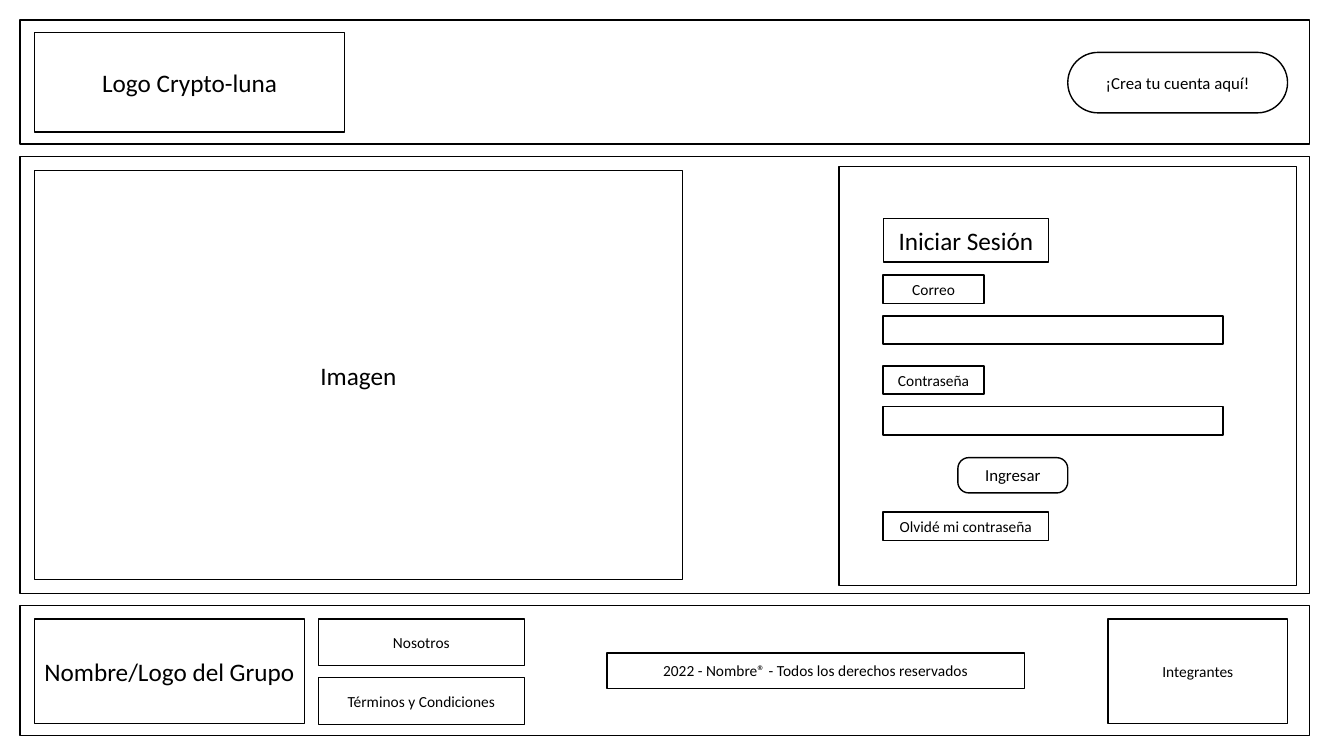
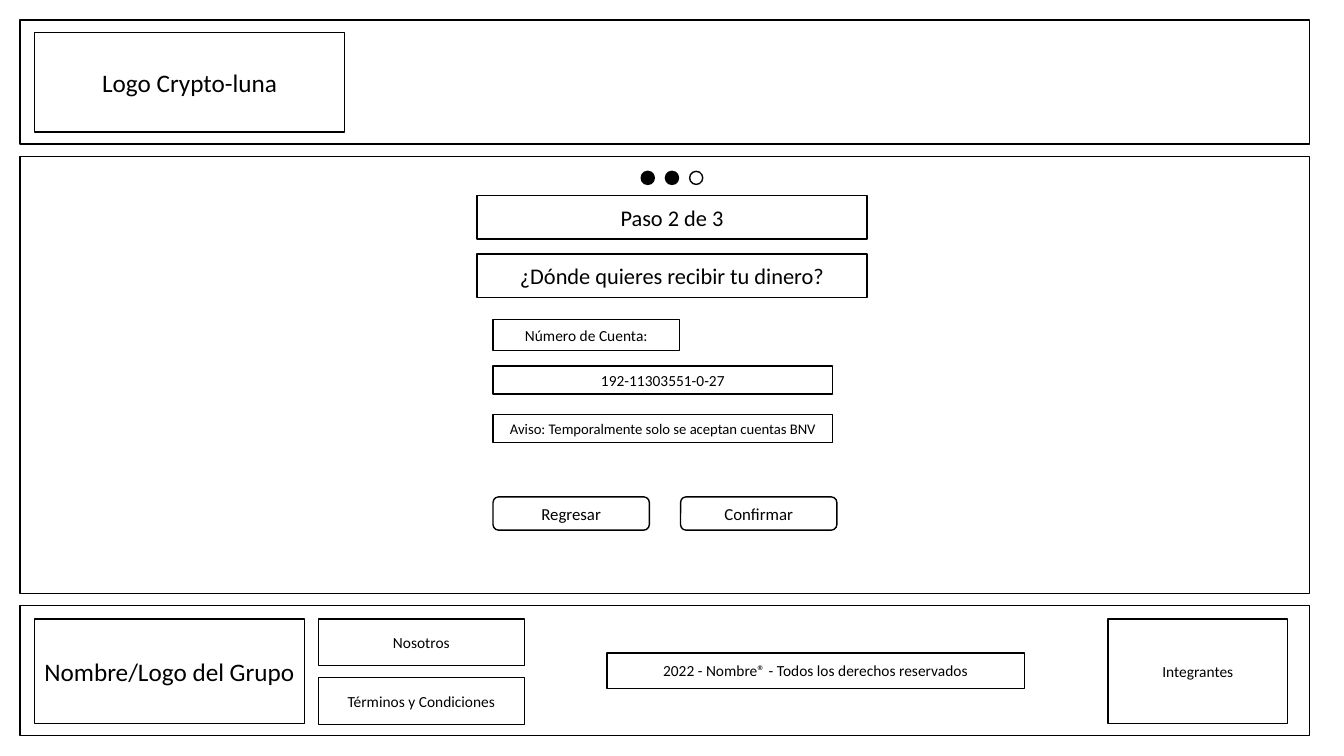
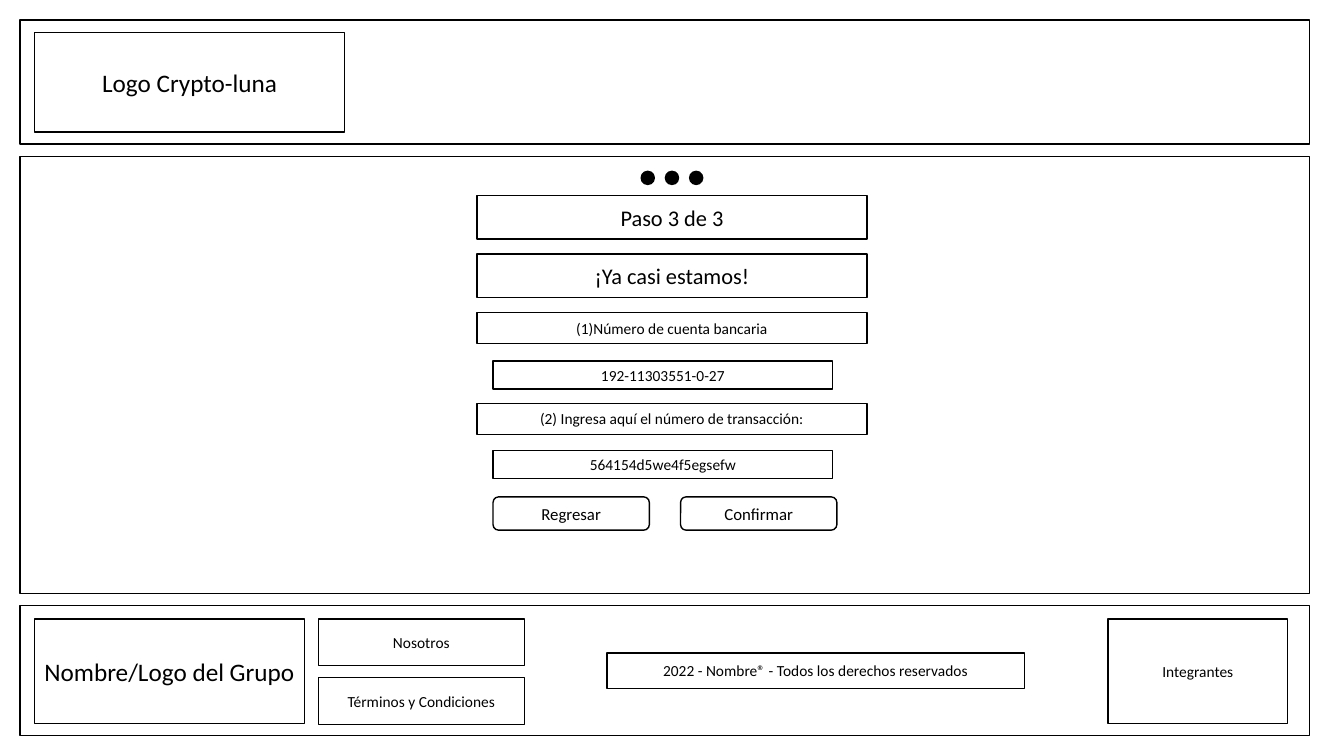
from pptx import Presentation
from pptx.dml.color import RGBColor
from pptx.enum.shapes import MSO_SHAPE
from pptx.enum.text import MSO_ANCHOR, MSO_AUTO_SIZE, PP_ALIGN
from pptx.util import Inches, Pt

COLORS = {"paper": "FFFFFF", "ink": "000000"}
FONT = "Calibri"
HEADING, STEP, BUTTON, LABEL, NOTICE = 18, 16, 12, 11, 10.5  # text sizes

# Shared frame: text, (left, top, width, height), size
BANDS = [(0.2, 1.23), (1.55, 4.34), (6.01, 1.29)]  # top, height
FRAME = [
    ("Logo Crypto-luna", (0.34, 0.32, 3.08, 0.99), HEADING),
    ("Nombre/Logo del Grupo", (0.34, 6.14, 2.68, 1.04), HEADING),
    ("Integrantes", (10.99, 6.14, 1.78, 1.04), LABEL),
    ("2022 - Nombre® - Todos los derechos reservados", (6.02, 6.48, 4.14, 0.35), LABEL),
    ("Nosotros", (3.16, 6.14, 2.04, 0.46), LABEL),
    ("Términos y Condiciones", (3.16, 6.72, 2.04, 0.47), LABEL),
]

# Login page
LOGIN_PANEL = (8.32, 1.65, 4.54, 4.16)
LOGIN_LEFT, LOGIN_WIDTH = 8.76, 1.64
FIELD_WIDTH, FIELD_HEIGHT = 3.37, 0.28
LOGIN_FIELDS = [("Correo", 2.73), ("Contraseña", 3.63)]
FIELD_DROP = 0.405  # from a label's top to its field's top
LOGIN_BUTTONS = [  # text, place, corner rounding
    ("¡Crea tu cuenta aquí!", (10.59, 0.52, 2.18, 0.6), 0.5),
    ("Ingresar", (9.5, 4.54, 1.09, 0.35), 0.31),
]

# Step pages: rows are text, kind, top, size
STEP_COUNT = 3
ROW_KINDS = {  # left, width, height
    "heading": (4.73, 3.87, 0.43),
    "prompt": (4.73, 3.87, 0.31),
    "label": (4.89, 1.85, 0.31),
    "field": (4.89, FIELD_WIDTH, FIELD_HEIGHT),
}
STEPS = [
    (2, [
        ("¿Dónde quieres recibir tu dinero?", "heading", 2.52, STEP),
        ("Número de Cuenta:", "label", 3.17, LABEL),
        ("192-11303551-0-27", "field", 3.63, LABEL),
        ("Aviso: Temporalmente solo se aceptan cuentas BNV", "field", 4.11, NOTICE),
    ]),
    (3, [
        ("¡Ya casi estamos!", "heading", 2.52, STEP),
        ("(1)Número de cuenta bancaria", "prompt", 3.1, LABEL),
        ("192-11303551-0-27", "field", 3.58, LABEL),
        ("(2) Ingresa aquí el número de transacción:", "prompt", 4, LABEL),
        ("564154d5we4f5egsefw", "field", 4.47, LABEL),
    ]),
]
STEP_BUTTONS = ["Regresar", "Confirmar"]
BUTTON_LEFT, BUTTON_PITCH = 4.89, 1.86
DOT_LEFT, DOT_PITCH, DOT_SIZE = 6.36, 0.24, 0.13


def color(name):
    return RGBColor.from_string(COLORS[name])


def style(shape, text="", size=LABEL, fill="paper"):
    shape.fill.solid()
    shape.fill.fore_color.rgb = color(fill)
    shape.line.color.rgb = color("ink")
    shape.line.width = Pt(1)
    if text:
        frame = shape.text_frame
        frame.word_wrap = True
        frame.auto_size = MSO_AUTO_SIZE.NONE
        frame.vertical_anchor = MSO_ANCHOR.MIDDLE
        paragraph = frame.paragraphs[0]
        paragraph.alignment = PP_ALIGN.CENTER
        run = paragraph.add_run()
        run.text = text
        run.font.name = FONT
        run.font.size = Pt(size)
        run.font.color.rgb = color("ink")


def add_box(shapes, place, text="", size=LABEL, form=MSO_SHAPE.RECTANGLE,
            fill="paper", rounding=None):
    box = shapes.add_shape(form, *map(Inches, place))
    box.shadow.inherit = False
    if rounding is not None:
        box.adjustments[0] = rounding
    style(box, text, size, fill)


def add_button(shapes, place, text, rounding=None):
    add_box(shapes, place, text, BUTTON, MSO_SHAPE.ROUNDED_RECTANGLE, rounding=rounding)


def place_title(slide, place, text, size):
    title = slide.shapes.title
    title.left, title.top, title.width, title.height = map(Inches, place)
    style(title, text, size)
    title.element.getparent().append(title.element)  # bring to the front


def add_page(deck):
    slide = deck.slides.add_slide(deck.slide_layouts.get_by_name("Title Only"))
    for top, height in BANDS:
        add_box(slide.shapes, (0.2, top, 12.79, height))
    for text, place, size in FRAME:
        add_box(slide.shapes, place, text, size)
    return slide


def build_login(deck):
    slide = add_page(deck)
    shapes = slide.shapes
    add_box(shapes, LOGIN_PANEL)
    add_box(shapes, (0.34, 1.69, 6.43, 4.06), "Imagen", HEADING)
    place_title(slide, (LOGIN_LEFT, 2.17, LOGIN_WIDTH, 0.43), "Iniciar Sesión", HEADING)
    for label, top in LOGIN_FIELDS:
        add_box(shapes, (LOGIN_LEFT, top, 1, FIELD_HEIGHT), label)
        add_box(shapes, (LOGIN_LEFT, top + FIELD_DROP, FIELD_WIDTH, FIELD_HEIGHT))
    add_box(shapes, (LOGIN_LEFT, 5.08, LOGIN_WIDTH, FIELD_HEIGHT), "Olvidé mi contraseña")
    for text, place, rounding in LOGIN_BUTTONS:
        add_button(shapes, place, text, rounding)


def build_step(deck, step, rows):
    slide = add_page(deck)
    shapes = slide.shapes
    # Progress dots: filled up to the current step
    dots = shapes.add_group_shape().shapes
    for i in range(STEP_COUNT):
        add_box(dots, (DOT_LEFT + i * DOT_PITCH, 1.7, DOT_SIZE, DOT_SIZE),
                form=MSO_SHAPE.OVAL, fill="ink" if i < step else "paper")
    # Heading and form rows
    left, width, height = ROW_KINDS["heading"]
    place_title(slide, (left, 1.94, width, height), f"Paso {step} de {STEP_COUNT}", STEP)
    for text, kind, top, size in rows:
        left, width, height = ROW_KINDS[kind]
        add_box(shapes, (left, top, width, height), text, size)
    for i, text in enumerate(STEP_BUTTONS):
        add_button(shapes, (BUTTON_LEFT + i * BUTTON_PITCH, 4.93, 1.55, 0.33), text)


def main():
    deck = Presentation()
    deck.slide_width, deck.slide_height = Inches(13.33), Inches(7.5)
    build_login(deck)
    for step, rows in STEPS:
        build_step(deck, step, rows)
    deck.save("out.pptx")


if __name__ == "__main__":
    main()
